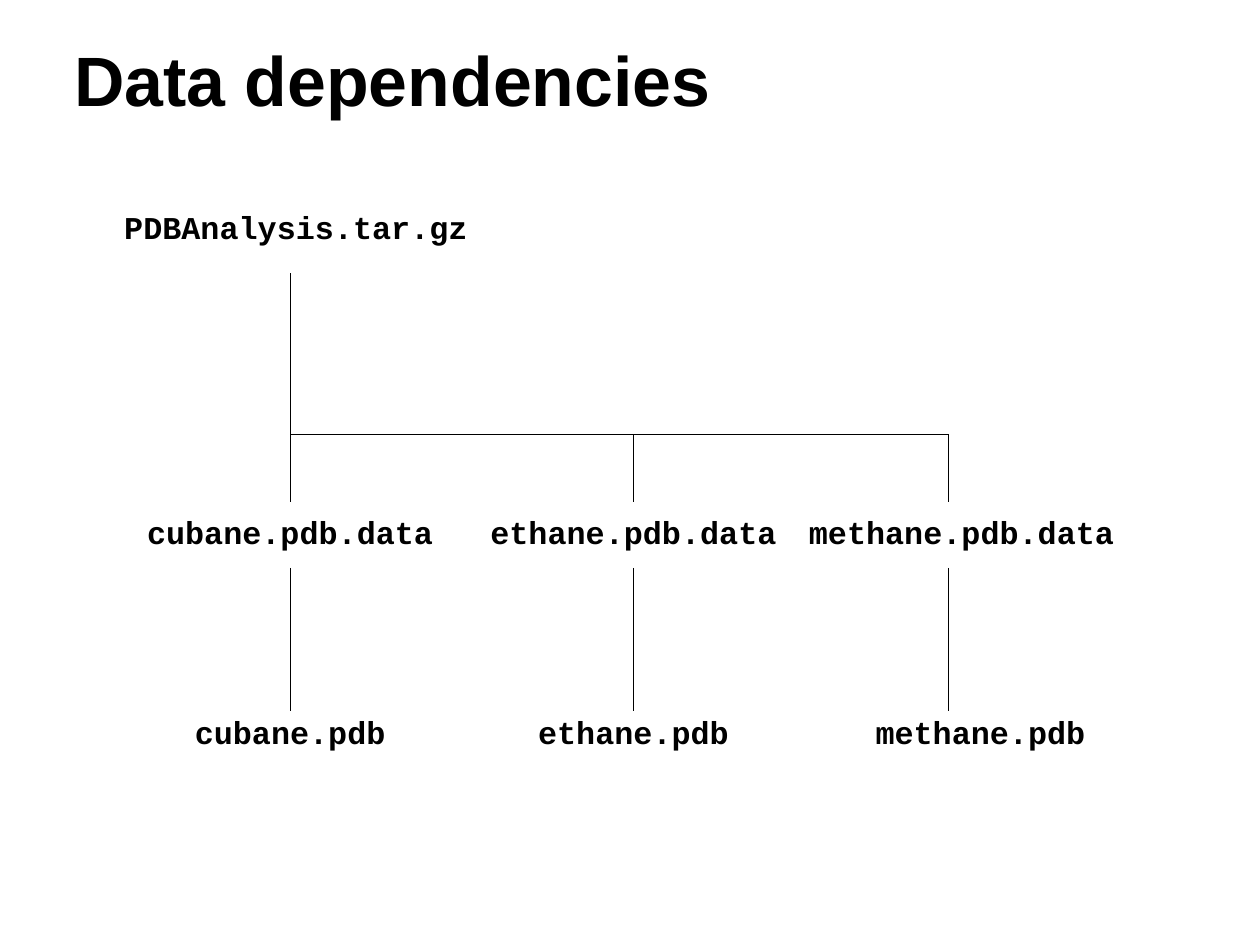
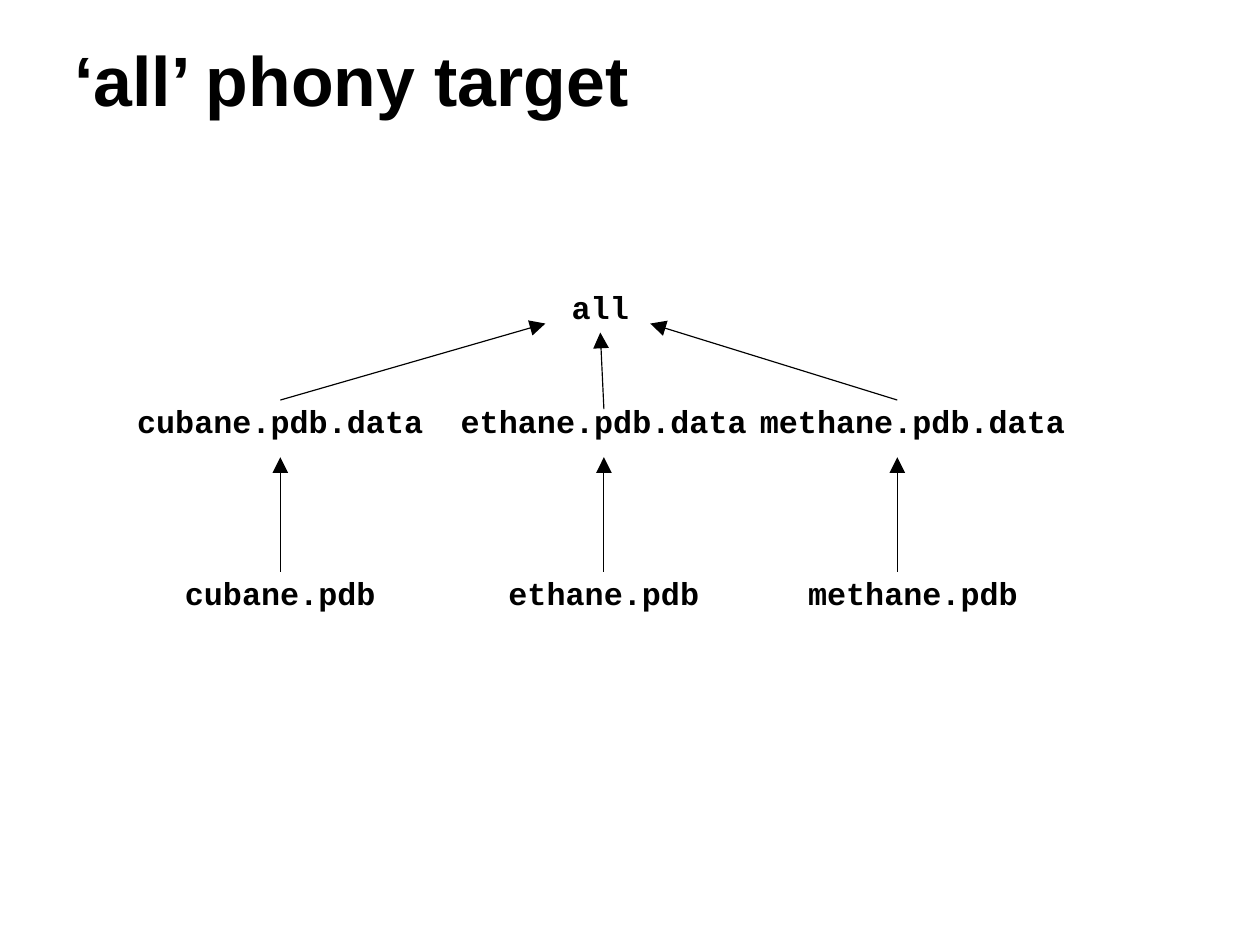
from dataclasses import dataclass
from typing import Optional

from lxml.etree import SubElement
from pptx import Presentation
from pptx.dml.color import RGBColor
from pptx.enum.shapes import MSO_CONNECTOR as Link
from pptx.enum.text import MSO_ANCHOR as Anchor
from pptx.enum.text import MSO_AUTO_SIZE as Fit
from pptx.enum.text import PP_ALIGN as Align
from pptx.oxml.ns import qn
from pptx.shapes.autoshape import Shape
from pptx.slide import Slide
from pptx.util import Cm, Pt

INK = "000000"
SANS, MONO = "Arial", "Courier New"
TITLE_SIZE, LABEL_SIZE = 44, 20
LEADING = 0.93
CHAR, INSET, HIGH = 0.43, 0.25, 1.04  # label measures in cm
TOP = 0  # connection site

Point = tuple[float, float]


@dataclass
class Column:
    name: str
    stem: float
    data: float  # centre of the .pdb.data label
    pdb: float  # centre of the .pdb label


def paint(code: str) -> RGBColor:
    return RGBColor.from_string(code)


def style(shape: Shape, text: str, face: str, size: int, align: Align) -> None:
    frame = shape.text_frame
    frame.text = text
    frame.margin_left = frame.margin_right = Cm(INSET)
    frame.margin_top = frame.margin_bottom = Cm(INSET / 2)
    para = frame.paragraphs[0]
    para.alignment, para.line_spacing = align, LEADING
    font = para.font
    font.name, font.size, font.bold = face, Pt(size), True
    font.color.rgb = paint(INK)


def start(deck: Presentation, text: str) -> Slide:
    """Add a slide with the shared title."""
    slide = deck.slides.add_slide(deck.slide_layouts[5])
    title = slide.shapes.title
    title.left, title.top, title.width, title.height = map(
        Cm, (1.4, 0.78, 25.2, 2.13))
    style(title, text, SANS, TITLE_SIZE, Align.LEFT)
    title.text_frame.vertical_anchor = Anchor.MIDDLE
    title.text_frame.auto_size = Fit.NONE
    return slide


def label(slide: Slide, text: str, mid: float, top: float) -> Shape:
    """Place a file name centred on mid."""
    wide = len(text) * CHAR + 2 * INSET
    box = slide.shapes.add_textbox(
        Cm(mid - wide / 2), Cm(top), Cm(wide), Cm(HIGH))
    style(box, text, MONO, LABEL_SIZE, Align.CENTER)
    box.text_frame.word_wrap = False
    box.text_frame.auto_size = Fit.SHAPE_TO_FIT_TEXT
    return box


def line(slide: Slide, tail: Point, tip: Point, arrow: bool = False,
         base: Optional[Shape] = None, goal: Optional[Shape] = None) -> None:
    """Draw tail to tip; join the tail to base or the tip to goal, at the top."""
    link = slide.shapes.add_connector(
        Link.STRAIGHT, *map(Cm, tail), *map(Cm, tip))
    link.line.color.rgb = paint(INK)
    link.line.width = Pt(0.75)
    props = link._element.spPr
    if arrow:
        SubElement(props.find(qn("a:ln")), qn("a:tailEnd"),
                   type="triangle", w="lg", len="lg")
    SubElement(props, qn("a:effectLst"))
    if base:
        link.begin_connect(base, TOP)
    if goal:
        link.end_connect(goal, TOP)


def pair(slide: Slide, col: Column, high: float,
         low: float) -> tuple[Shape, Optional[Shape]]:
    """Add both labels of a column; the second is None if off its stem."""
    data = label(slide, f"{col.name}.pdb.data", col.data, high)
    pdb = label(slide, f"{col.name}.pdb", col.pdb, low)
    return data, pdb if col.pdb == col.stem else None


def depend(deck: Presentation) -> None:
    cols = [Column("cubane", 6.45, 6.45, 6.45),
            Column("ethane", 14.08, 14.08, 14.08),
            Column("methane", 21.08, 21.37, 21.79)]
    high, low, bus, drop = 11.35, 15.8, 9.65, 11.15
    slide = start(deck, "Data dependencies")
    label(slide, "PDBAnalysis.tar.gz", 6.58, 4.57)
    first, last = cols[0].stem, cols[-1].stem
    line(slide, (first, bus), (last, bus))
    for col in cols:
        _, pdb = pair(slide, col, high, low)
        top = 6.07 if col.stem == first else bus
        line(slide, (col.stem, top), (col.stem, drop))
        line(slide, (col.stem, 12.62), (col.stem, low), goal=pdb)


def phony(deck: Presentation) -> None:
    cols = [Column("cubane", 6.23, 6.23, 6.23),
            Column("ethane", 13.42, 13.42, 13.42),
            Column("methane", 19.94, 20.28, 20.29)]
    high, low = 8.89, 12.7
    tails = [high, 9.09, high]
    tips = [(12.12, 7.19), (13.34, 7.39), (14.45, 7.19)]
    slide = start(deck, "‘all’ phony target")
    label(slide, "all", 13.34, 6.35)
    for col, tail, tip in zip(cols, tails, tips):
        data, pdb = pair(slide, col, high, low)
        base = data if (col.data, high) == (col.stem, tail) else None
        line(slide, (col.stem, tail), tip, True, base)
        line(slide, (col.stem, low), (col.stem, 10.16), True, pdb)


def main() -> None:
    deck = Presentation()
    deck.slide_width, deck.slide_height = Cm(28), Cm(21)
    depend(deck)
    phony(deck)
    deck.save("out.pptx")


if __name__ == "__main__":
    main()
